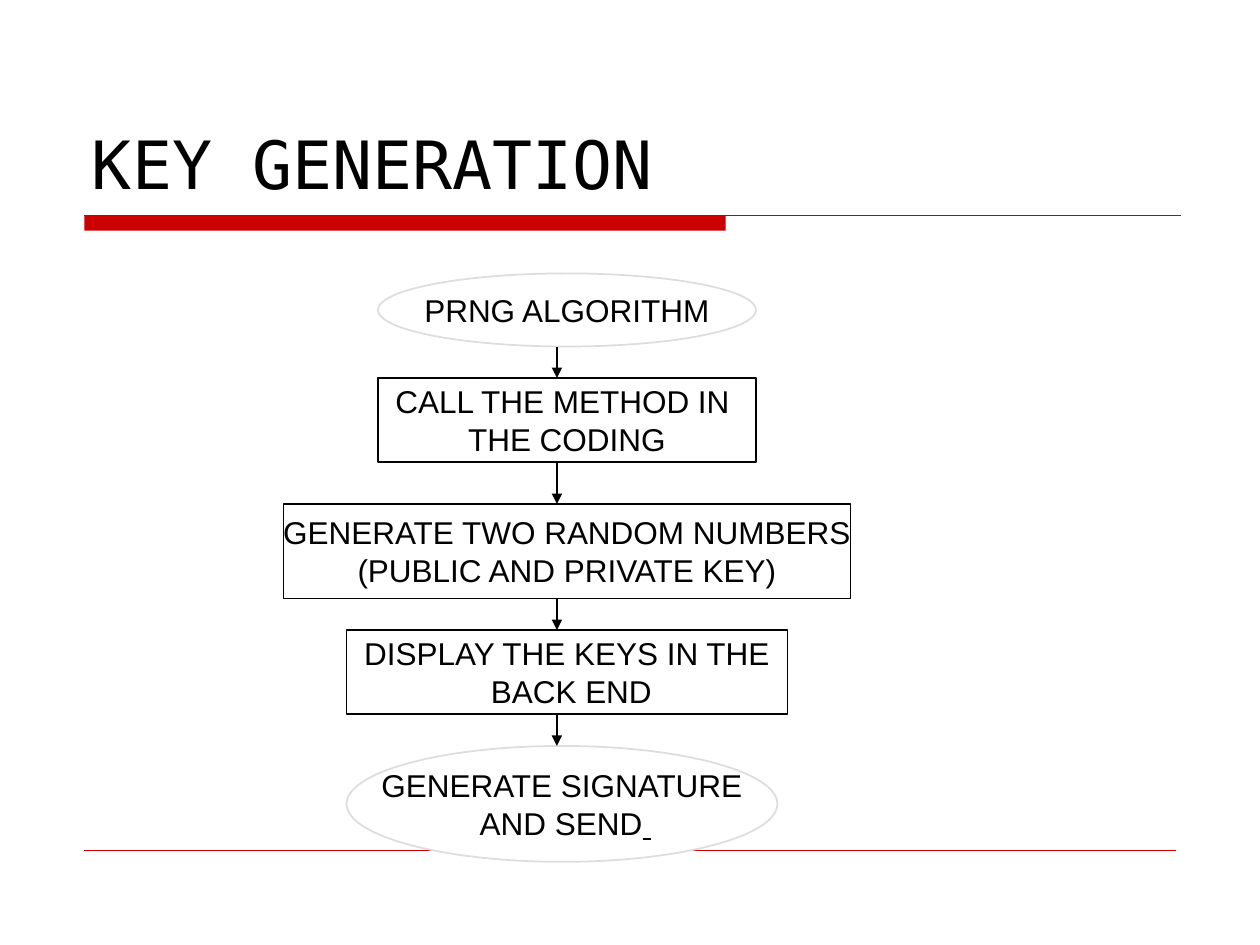
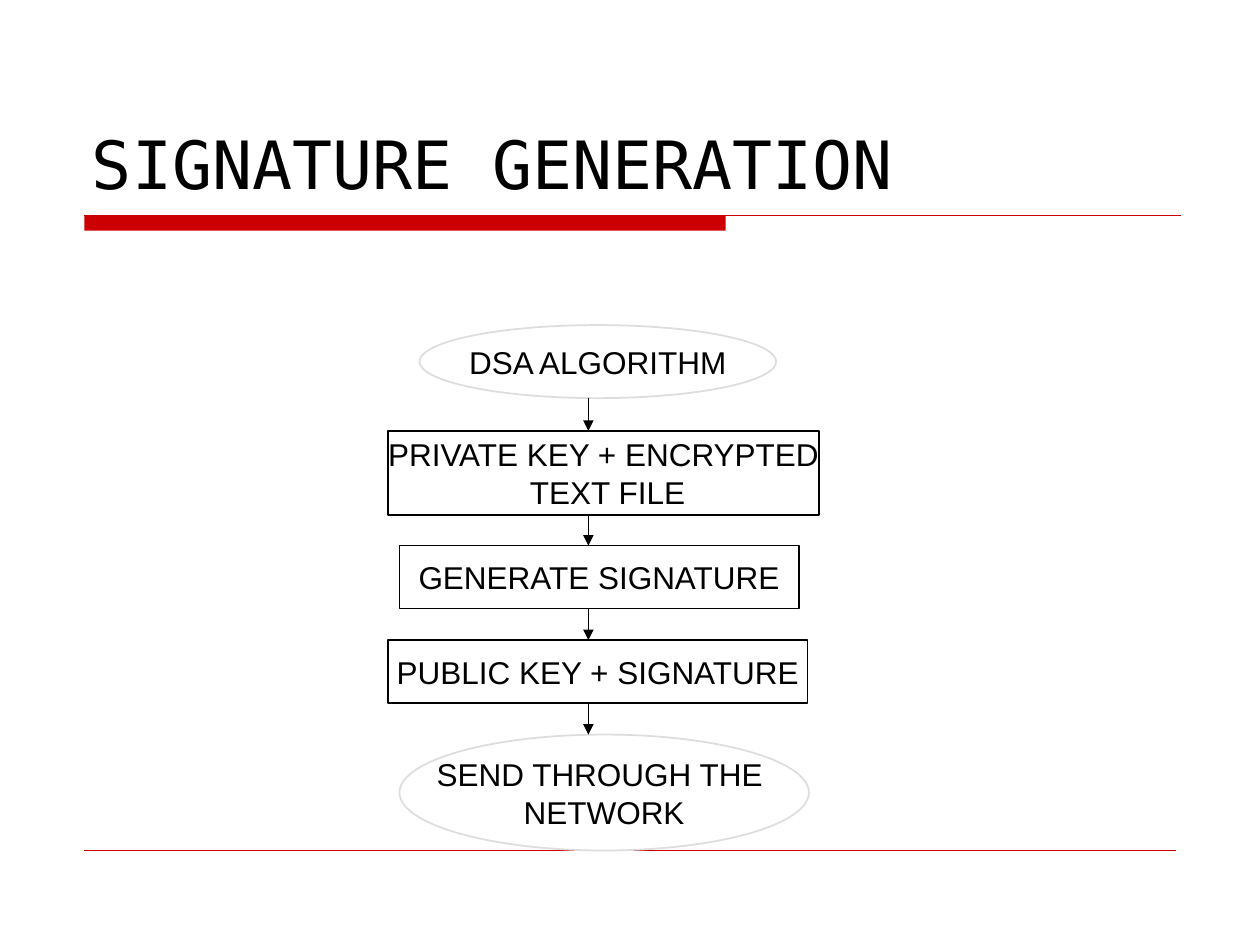
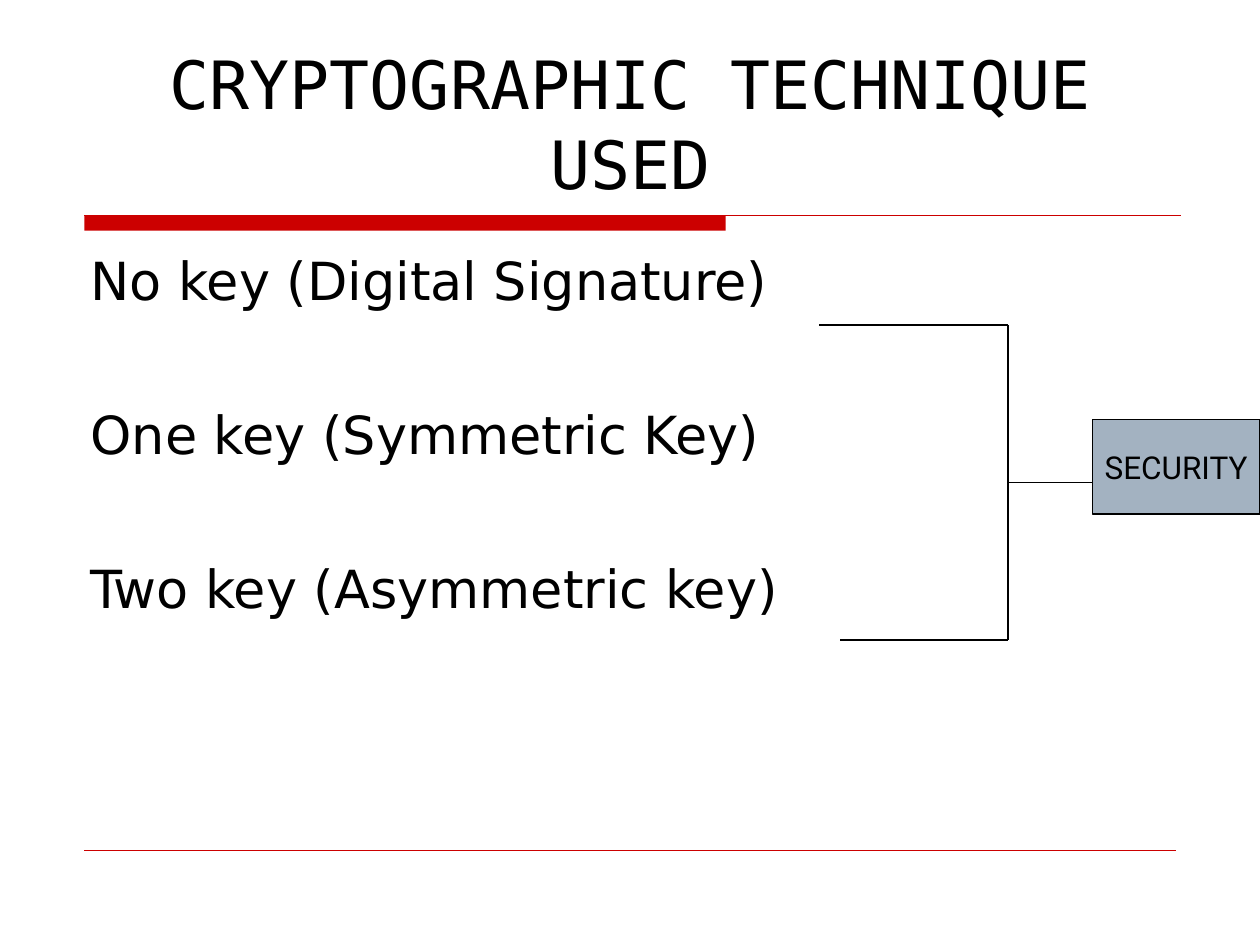
from dataclasses import dataclass

from lxml.etree import SubElement
from pptx import Presentation
from pptx.dml.color import RGBColor as RGB
from pptx.enum.shapes import MSO_CONNECTOR as Link, MSO_SHAPE as Shape
from pptx.enum.text import MSO_ANCHOR as Anchor, MSO_AUTO_SIZE as Fit, PP_ALIGN as Align
from pptx.oxml.ns import qn
from pptx.util import Inches, Pt


@dataclass(frozen=True)
class Theme:
    red: RGB = RGB(0xCC, 0x00, 0x00)
    black: RGB = RGB(0x00, 0x00, 0x00)
    white: RGB = RGB(0xFF, 0xFF, 0xFF)
    gray: RGB = RGB(0xDD, 0xDD, 0xDD)
    steel: RGB = RGB(0xA3, 0xB2, 0xC1)
    mono: str = "DejaVu Sans Mono"
    sans: str = "DejaVu Sans"
    plain: str = "Arial"
    label: str = "Roboto"
    title: int = 38
    body: int = 30
    node: int = 18


theme = Theme()


def write(par, text, face, size):
    run = par.add_run()
    run.text = text
    run.font.name = face
    run.font.size = Pt(size)
    run.font.color.rgb = theme.black
    return run


def draw(slide, x1, y1, x2, y2, color, width, arrow=False):
    line = slide.shapes.add_connector(
        Link.STRAIGHT, Inches(x1), Inches(y1), Inches(x2), Inches(y2))
    line.line.color.rgb = color
    line.line.width = Pt(width)
    props = line._element.spPr
    if arrow:
        SubElement(props.find(qn("a:ln")), qn("a:tailEnd"), type="triangle")
    SubElement(props, qn("a:effectLst"))


deck = Presentation()
deck.slide_width, deck.slide_height = Inches(10), Inches(7.5)

slides = []
for head, align in (
    ("KEY GENERATION", Align.LEFT),
    ("SIGNATURE GENERATION", Align.LEFT),
    ("CRYPTOGRAPHIC TECHNIQUE USED", Align.CENTER),
):
    slide = deck.slides.add_slide(deck.slide_layouts[5])
    slides.append(slide)
    title = slide.shapes.title
    title.left, title.top = Inches(0.63), Inches(0.33)
    title.width, title.height = Inches(8.75), Inches(1.33)
    frame = title.text_frame
    frame.auto_size = Fit.NONE
    frame.vertical_anchor = Anchor.BOTTOM
    frame.paragraphs[0].alignment = align
    write(frame.paragraphs[0], head, theme.mono, theme.title)
    band = slide.shapes.add_shape(
        Shape.RECTANGLE, Inches(0.67), Inches(1.71), Inches(5.09), Inches(0.12))
    band.shadow.inherit = False
    band.fill.solid()
    band.fill.fore_color.rgb = theme.red
    band.line.fill.background()
    draw(slide, 0.67, 1.71, 9.37, 1.71, theme.red, 0.75)
    draw(slide, 0.67, 6.75, 9.33, 6.75, theme.red, 0.25)

oval = (Shape.OVAL, theme.white, theme.gray, 1, theme.plain)
step = (Shape.RECTANGLE, theme.white, theme.black, 1, theme.plain)
goal = (Shape.RECTANGLE, theme.steel, theme.black, 0.75, theme.label)

flows = (
    (4.42, (
        (oval, 3, 2.17, 3, 0.58, ["PRNG ALGORITHM"]),
        (step, 3, 3, 3, 0.67, ["CALL THE METHOD IN ", "THE CODING"]),
        (step, 2.25, 4, 4.5, 0.75,
         ["GENERATE TWO RANDOM NUMBERS", "(PUBLIC AND PRIVATE KEY)"]),
        (step, 2.75, 5, 3.5, 0.67, ["DISPLAY THE KEYS IN THE", " BACK END"]),
        (oval, 2.75, 5.92, 3.42, 0.92, ["GENERATE SIGNATURE", " AND SEND"]),
    )),
    (4.67, (
        (oval, 3.33, 2.58, 2.83, 0.58, ["DSA ALGORITHM"]),
        (step, 3.08, 3.42, 3.42, 0.67, ["PRIVATE KEY + ENCRYPTED", " TEXT FILE"]),
        (step, 3.17, 4.33, 3.17, 0.5, ["GENERATE SIGNATURE"]),
        (step, 3.08, 5.08, 3.33, 0.5, ["PUBLIC KEY + SIGNATURE"]),
        (oval, 3.17, 5.83, 3.25, 0.92, ["SEND THROUGH THE ", "NETWORK"]),
    )),
    (None, (
        (goal, 8.67, 3.33, 1.33, 0.75, ["SECURITY"]),
    )),
)

ends = []
for slide, (mid, nodes) in zip(slides, flows):
    last = None
    for (kind, fill, edge, width, face), x, y, w, h, lines in nodes:
        node = slide.shapes.add_shape(kind, Inches(x), Inches(y), Inches(w), Inches(h))
        node.shadow.inherit = False
        node.fill.solid()
        node.fill.fore_color.rgb = fill
        node.line.color.rgb = edge
        node.line.width = Pt(width)
        frame = node.text_frame
        frame.word_wrap = False
        frame.vertical_anchor = Anchor.MIDDLE
        for i, text in enumerate(lines):
            par = frame.add_paragraph() if i else frame.paragraphs[0]
            par.alignment = Align.CENTER
            write(par, text, face, theme.node)
        if last is not None:
            draw(slide, mid, last, mid, y, theme.black, 1, arrow=True)
        last = y + h
    ends.append(par)

write(ends[0], " ", theme.plain, theme.node).font.underline = True

slide = slides[2]
body = slide.shapes.add_textbox(Inches(0.62), Inches(1.92), Inches(8.75), Inches(4.67))
frame = body.text_frame
frame.word_wrap = True
for i, text in enumerate((
    "No key (Digital Signature)",
    "One key (Symmetric Key)",
    "Two key (Asymmetric key)",
)):
    par = frame.add_paragraph() if i else frame.paragraphs[0]
    par.space_before = Pt(52 if i else 0)
    write(par, text, theme.sans, theme.body)

for ends in (
    (6.5, 2.58, 8, 2.58),
    (6.67, 5.08, 8, 5.08),
    (8, 5.08, 8, 2.58),
    (8, 3.83, 8.67, 3.83),
):
    draw(slide, *ends, theme.black, 0.75)

deck.save("out.pptx")
